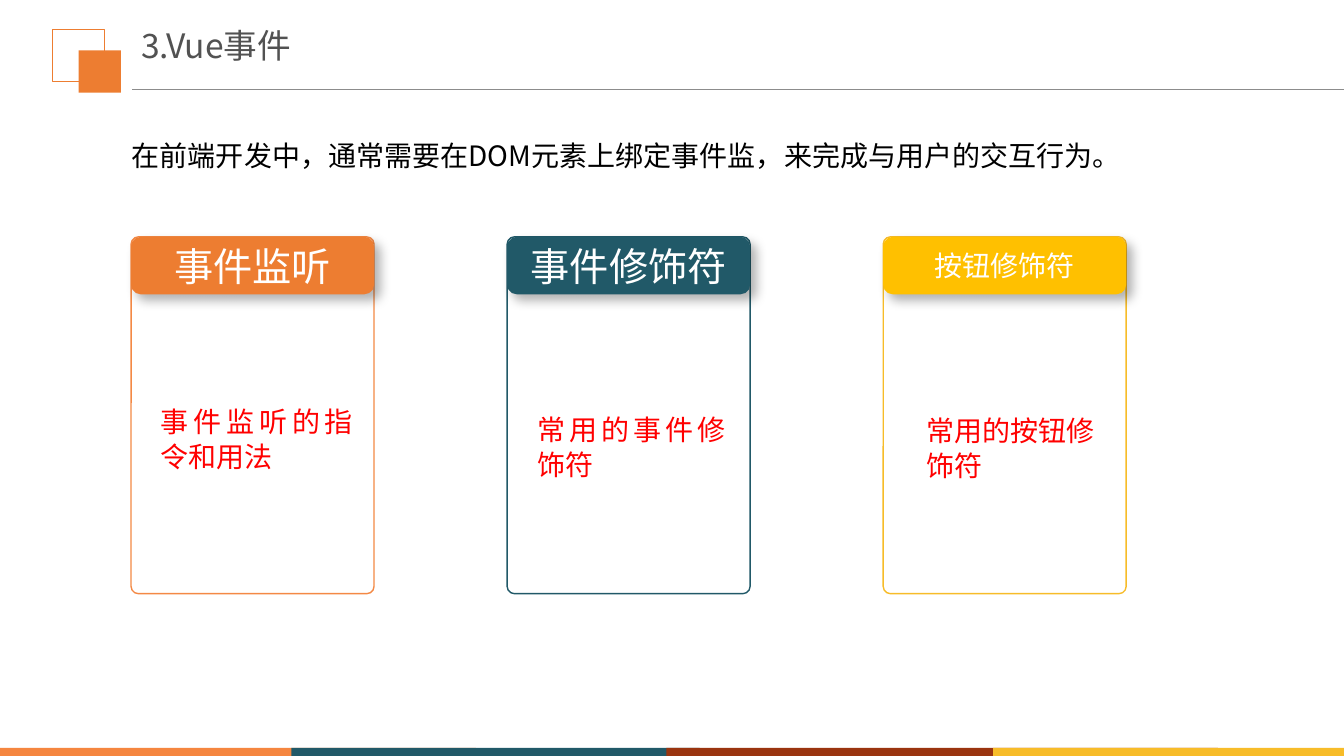
from dataclasses import dataclass

import lxml.etree
import pptx
import pptx.dml.color
import pptx.enum.shapes
import pptx.enum.text
import pptx.oxml.ns
import pptx.shapes.autoshape
import pptx.shapes.base
import pptx.slide
import pptx.util

Inches = pptx.util.Inches
Pt = pptx.util.Pt
ShapeType = pptx.enum.shapes.MSO_SHAPE
Align = pptx.enum.text.PP_ALIGN
Anchor = pptx.enum.text.MSO_ANCHOR
qn = pptx.oxml.ns.qn

COLOURS = {
    "orange": "ED7D31", "light orange": "F48945", "bar orange": "F5863F",
    "teal": "215968", "brown": "9A340F", "yellow": "F7BC29", "gold": "FFC000",
    "grey": "525252", "rule": "8C8C8C", "red": "FF0000",
    "black": "000000", "white": "FFFFFF",
}
CJK_FONT = "Noto Sans CJK SC"
CARD_LEFT, CARD_TOP, CARD_PITCH = 1.3, 2.35, 3.73
CARD_WIDTH, CARD_HEIGHT, HEADER_HEIGHT = 2.41, 3.54, 0.57
BAR_TOP, BAR_HEIGHT = 7.42, 0.08


@dataclass
class Card:
    heading: str
    heading_size: int
    note: str
    fill: str
    border: str
    note_offset: float
    note_top: float
    note_width: float
    note_align: Align


@dataclass
class Bar:
    left: float
    width: float
    colour: str


CARDS = [
    Card("事件监听", 28, "事件监听的指令和用法", "orange", "light orange",
         0.19, 3.36, 2.11, Align.JUSTIFY),
    Card("事件修饰符", 28, "常用的事件修饰符", "teal", "teal",
         0.2, 3.44, 2.07, Align.JUSTIFY),
    Card("按钮修饰符", 20, "常用的按钮修饰符", "gold", "yellow",
         0.33, 3.45, 2.08, Align.LEFT),
]
BARS = [
    Bar(0, 4.72, "bar orange"),
    Bar(2.89, 4.05, "teal"),
    Bar(6.61, 5.47, "brown"),
    Bar(9.85, 3.48, "yellow"),
]


def rgb(name: str) -> pptx.dml.color.RGBColor:
    return pptx.dml.color.RGBColor.from_string(COLOURS[name])


def write_text(shape: pptx.shapes.base.BaseShape, text: str, *, size: int, colour: str,
               font: str = "Arial", align: Align = Align.LEFT, anchor: Anchor = Anchor.TOP,
               line_spacing: float | pptx.util.Length | None = None,
               insets: tuple[float, float] = (0.1, 0.05)) -> None:
    """Fill a shape with one paragraph; insets are horizontal and vertical inches."""
    frame = shape.text_frame
    frame.word_wrap = True
    frame.auto_size = pptx.enum.text.MSO_AUTO_SIZE.NONE
    frame.vertical_anchor = anchor
    frame.margin_left = frame.margin_right = Inches(insets[0])
    frame.margin_top = frame.margin_bottom = Inches(insets[1])
    para = frame.paragraphs[0]
    para.alignment = align
    para.line_spacing = line_spacing
    span = para.add_run()
    span.text = text
    span.font.size = Pt(size)
    span.font.name = font
    span.font.color.rgb = rgb(colour)
    east_asian = lxml.etree.SubElement(span.font._element, qn("a:ea"))
    east_asian.set("typeface", CJK_FONT)


def add_text_box(page: pptx.slide.Slide, left: float, top: float, width: float,
                 height: float) -> pptx.shapes.autoshape.Shape:
    return page.shapes.add_textbox(Inches(left), Inches(top), Inches(width), Inches(height))


def add_box(page: pptx.slide.Slide, left: float, top: float, width: float, height: float, *,
            fill: str | None = None, border: str | None = None, border_width: float = 1,
            kind: ShapeType = ShapeType.RECTANGLE) -> pptx.shapes.autoshape.Shape:
    box = page.shapes.add_shape(kind, Inches(left), Inches(top), Inches(width), Inches(height))
    box.shadow.inherit = False
    if fill:
        box.fill.solid()
        box.fill.fore_color.rgb = rgb(fill)
    else:
        box.fill.background()
    if border:
        box.line.color.rgb = rgb(border)
        box.line.width = Pt(border_width)
    else:
        box.line.fill.background()
    return box


def add_soft_shadow(box: pptx.shapes.autoshape.Shape) -> None:
    effects = box._element.spPr.find(qn("a:effectLst"))
    shadow = lxml.etree.SubElement(effects, qn("a:outerShdw"), blurRad=str(Pt(8)),
                                   dist=str(Pt(6)), dir="2700000", algn="tl", rotWithShape="0")
    colour = lxml.etree.SubElement(shadow, qn("a:srgbClr"), val=COLOURS["black"])
    lxml.etree.SubElement(colour, qn("a:alpha"), val="30000")


def add_title(page: pptx.slide.Slide) -> None:
    add_box(page, 0.52, 0.29, 0.52, 0.52, border="orange", border_width=0.75)
    add_box(page, 0.78, 0.5, 0.42, 0.42, fill="orange")
    rule = page.shapes.add_connector(pptx.enum.shapes.MSO_CONNECTOR.STRAIGHT,
                                     Inches(1.31), Inches(0.89), Inches(13.33), Inches(0.89))
    rule.line.color.rgb = rgb("rule")
    rule.line.width = Pt(0.75)
    lxml.etree.SubElement(rule._element.spPr, qn("a:effectLst"))
    title = page.shapes.title
    title.left, title.top = Inches(1.3), Inches(0.29)
    title.width, title.height = Inches(5.29), Inches(0.58)
    write_text(title, "3.Vue事件", size=24, colour="grey", font=CJK_FONT,
               line_spacing=0.9, insets=(0.1, 0))


def add_card(page: pptx.slide.Slide, card: Card, left: float) -> None:
    frame = add_box(page, left, CARD_TOP, CARD_WIDTH, CARD_HEIGHT, border=card.border,
                    kind=ShapeType.ROUNDED_RECTANGLE)
    frame.adjustments[0] = 0.03
    header = add_box(page, left, CARD_TOP, CARD_WIDTH, HEADER_HEIGHT, fill=card.fill,
                     kind=ShapeType.ROUNDED_RECTANGLE)
    add_soft_shadow(header)
    write_text(header, card.heading, size=card.heading_size, colour="white",
               align=Align.CENTER, anchor=Anchor.MIDDLE, insets=(0, 0))
    note = add_text_box(page, left + card.note_offset, card.note_top, card.note_width, 1.38)
    write_text(note, card.note, size=20, colour="red", align=card.note_align,
               anchor=Anchor.BOTTOM, line_spacing=Pt(25))


def main() -> None:
    deck = pptx.Presentation()
    deck.slide_width, deck.slide_height = Inches(13.33), Inches(7.5)
    page = deck.slides.add_slide(deck.slide_layouts.get_by_name("Title Only"))
    add_title(page)
    for bar in BARS:
        add_box(page, bar.left, BAR_TOP, bar.width, BAR_HEIGHT, fill=bar.colour)
    for index, card in enumerate(CARDS):
        add_card(page, card, CARD_LEFT + index * CARD_PITCH)
    intro = add_text_box(page, 1.21, 1.33, 10.2, 0.44)
    write_text(intro, "在前端开发中，通常需要在DOM元素上绑定事件监，来完成与用户的交互行为。",
               size=20, colour="black", font=CJK_FONT)
    deck.save("out.pptx")


if __name__ == "__main__":
    main()
